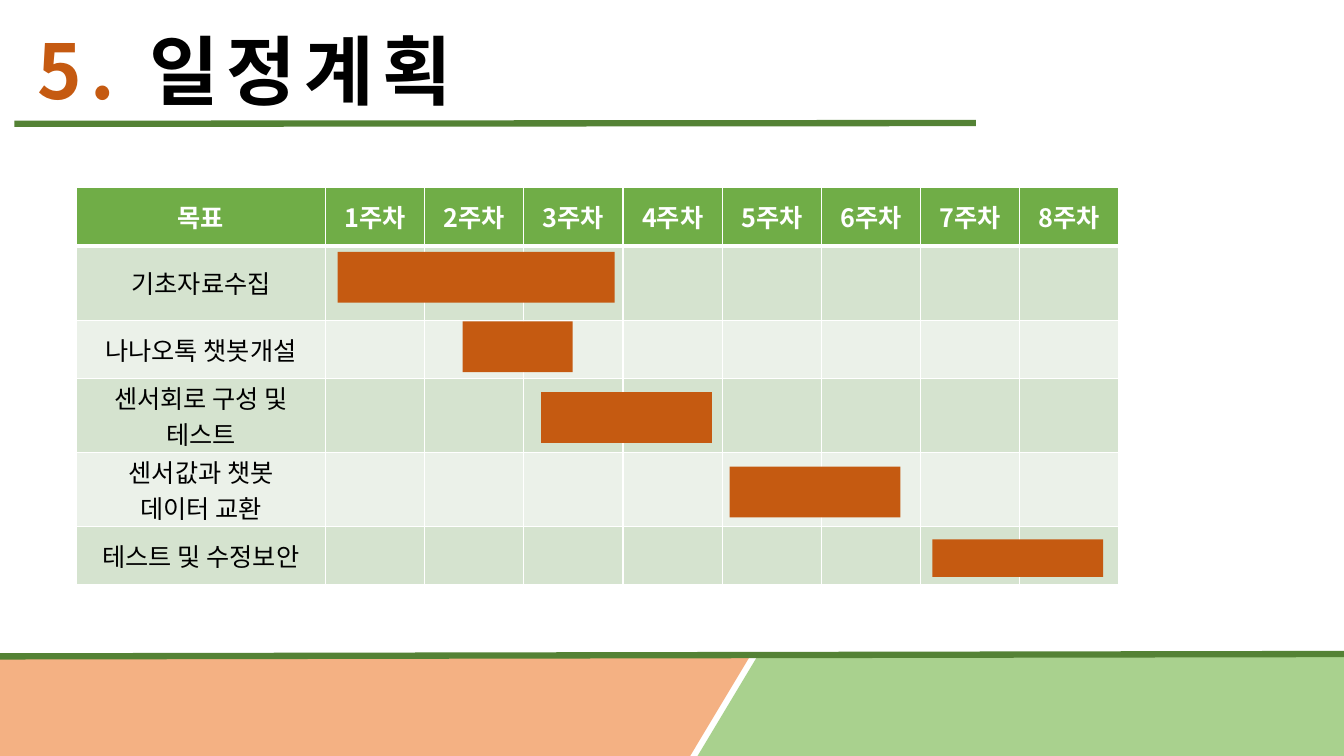
from lxml import etree
from pptx import Presentation
from pptx import util as u
from pptx.dml.color import RGBColor
from pptx.enum import shapes, text
from pptx.oxml import ns

COLORS = {
    "accent": "C55A11", "ink": "000000", "white": "FFFFFF", "rule": "548235",
    "peach": "F4B183", "leaf": "A9D18E",
    "header": "70AD47", "band_dark": "D5E3CF", "band_light": "EBF1E9",
}
WEEKS = 8
GOALS = [
    ["기초자료수집"],
    ["나나오톡 챗봇개설"],
    ["센서회로 구성 및", "테스트"],
    ["센서값과 챗봇", "데이터 교환"],
    ["테스트 및 수정보안"],
]
ROW_HEIGHTS = [1.47, 1.88, 1.47, 1.86, 1.86, 1.47]
# left, top, width, height of the bar for each goal
BARS = [
    (8.51, 6.35, 6.98, 1.28),
    (11.66, 8.1, 2.77, 1.28),
    (13.64, 9.88, 4.3, 1.28),
    (18.39, 11.76, 4.3, 1.28),
    (23.5, 13.59, 4.3, 0.95),
]


def rgb(color):
    return RGBColor.from_string(COLORS[color])


class ScheduleSlide:
    font = "Noto Sans CJK KR"

    def __init__(self, deck):
        self.slide = deck.slides.add_slide(deck.slide_layouts[5])

    def run(self, paragraph, words, size, color, bold=False, spacing=None):
        run = paragraph.add_run()
        run.text = words
        run.font.size = u.Pt(size)
        run.font.bold = bold
        run.font.color.rgb = rgb(color)
        run.font.name = self.font
        properties = run.font._element
        etree.SubElement(properties, ns.qn("a:ea"), typeface=self.font)
        if spacing:
            properties.set("spc", str(spacing * 100))

    def title(self, number, heading, left, top, width, height):
        title = self.slide.shapes.title
        title.left, title.top, title.width, title.height = map(
            u.Cm, (left, top, width, height))
        frame = title.text_frame
        frame.word_wrap = False
        frame.auto_size = text.MSO_AUTO_SIZE.NONE
        frame.vertical_anchor = text.MSO_ANCHOR.MIDDLE
        line = frame.paragraphs[0]
        line.alignment = text.PP_ALIGN.LEFT
        line.line_spacing = 1.0
        self.run(line, number, 54, "accent", True, 6)
        self.run(line, heading, 54, "ink", True, 6)

    def shape(self, kind, color, left, top, width, height):
        shape = self.slide.shapes.add_shape(
            kind, *map(u.Cm, (left, top, width, height)))
        shape.shadow.inherit = False
        shape.fill.solid()
        shape.fill.fore_color.rgb = rgb(color)
        shape.line.fill.background()
        return shape

    def rule(self, *ends):
        rule = self.slide.shapes.add_connector(
            shapes.MSO_CONNECTOR.STRAIGHT, *map(u.Cm, ends))
        rule.line.color.rgb = rgb("rule")
        rule.line.width = u.Pt(4.5)
        etree.SubElement(rule._element.spPr, ns.qn("a:effectLst"))

    def cell(self, cell, lines, fill, color, bold, top_border, bottom_border):
        cell.margin_top = cell.margin_bottom = 0
        cell.vertical_anchor = text.MSO_ANCHOR.MIDDLE
        properties = cell._tc.get_or_add_tcPr()
        borders = {"lnL": 1, "lnR": 1, "lnT": top_border, "lnB": bottom_border}
        for side, points in borders.items():
            border = etree.SubElement(
                properties, ns.qn(f"a:{side}"), w=str(u.Pt(points)))
            paint = etree.SubElement(border, ns.qn("a:solidFill"))
            etree.SubElement(paint, ns.qn("a:srgbClr"), val=COLORS["white"])
        cell.fill.solid()
        cell.fill.fore_color.rgb = rgb(fill)
        frame = cell.text_frame
        for index, words in enumerate(lines):
            paragraph = frame.add_paragraph() if index else frame.paragraphs[0]
            paragraph.alignment = text.PP_ALIGN.CENTER
            self.run(paragraph, words, 18, color, bold)

    def schedule(self, left, top, goal_width, week_width):
        table = self.slide.shapes.add_table(
            len(ROW_HEIGHTS), WEEKS + 1, u.Cm(left), u.Cm(top),
            u.Cm(goal_width + WEEKS * week_width), u.Cm(sum(ROW_HEIGHTS))).table
        for index, column in enumerate(table.columns):
            column.width = u.Cm(week_width if index else goal_width)
        for row, height in zip(table.rows, ROW_HEIGHTS):
            row.height = u.Cm(height)
        header = [["목표"]] + [[f"{week}주차"] for week in range(1, WEEKS + 1)]
        for column, lines in enumerate(header):
            self.cell(table.cell(0, column), lines, "header", "white", True, 1, 3)
        for row, goal in enumerate(GOALS, 1):
            band = "band_dark" if row % 2 else "band_light"
            for column in range(WEEKS + 1):
                self.cell(table.cell(row, column), [] if column else goal,
                          band, "ink", False, 3 if row == 1 else 1, 1)


def main():
    deck = Presentation()
    deck.slide_width, deck.slide_height = u.Cm(33.87), u.Cm(19.05)
    plan = ScheduleSlide(deck)
    plan.title("5. ", "일정계획", 0.69, 0.46, 11.63, 2.57)
    for color, left in (("peach", -1.9), ("leaf", 17.58)):
        footer = plan.shape(shapes.MSO_SHAPE.PARALLELOGRAM, color,
                            left, 16.54, 20.8, 2.51)
        footer.adjustments[0] = 0.6
    plan.rule(0.36, 3.12, 24.59, 3.1)
    plan.rule(0, 16.54, 33.87, 16.48)
    plan.schedule(1.93, 4.72, 6.27, 2.5)
    for bar in BARS:
        plan.shape(shapes.MSO_SHAPE.RECTANGLE, "accent", *bar)
    deck.save("out.pptx")


if __name__ == "__main__":
    main()
